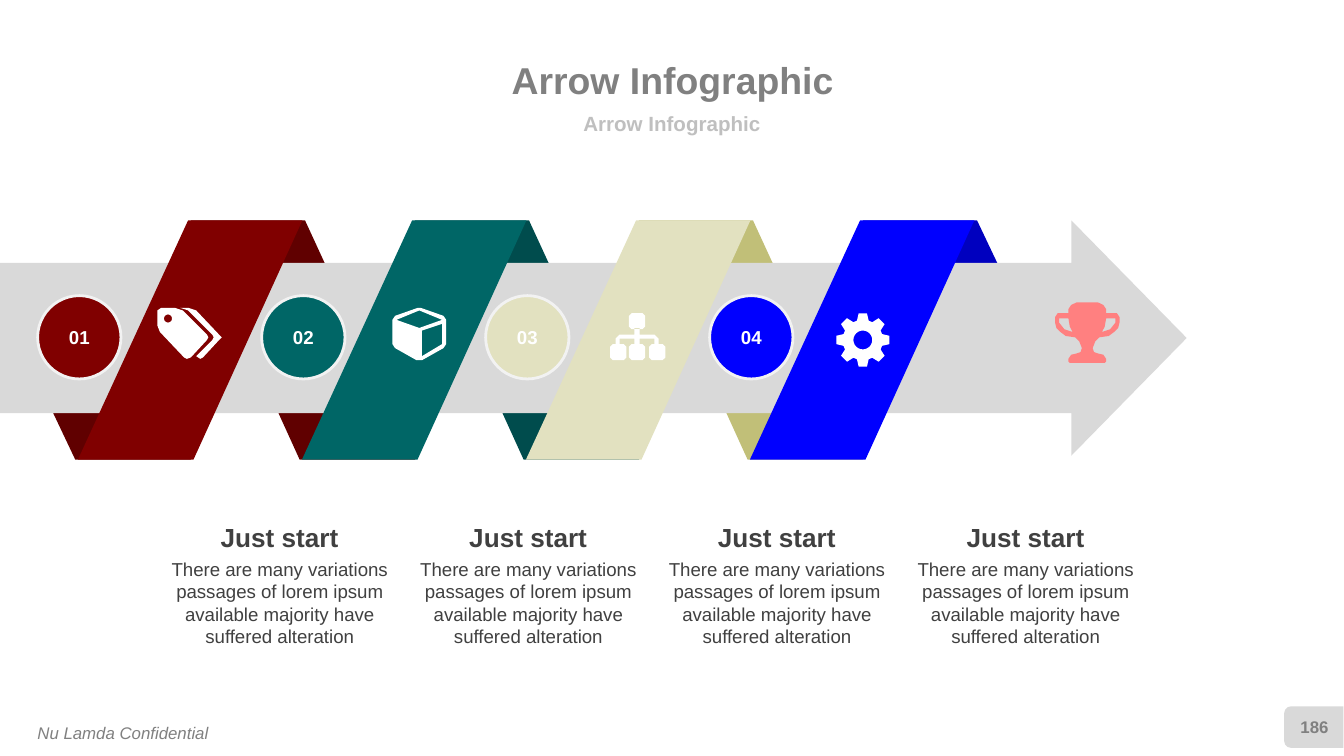
from math import cos, sin, radians
from pptx import Presentation
from pptx.dml.color import RGBColor
from pptx.enum.shapes import MSO_SHAPE
from pptx.enum.text import MSO_ANCHOR, MSO_AUTO_SIZE, PP_ALIGN
from pptx.oxml.ns import qn
from pptx.util import Inches, Pt

ARROW, OVAL = MSO_SHAPE.RIGHT_ARROW, MSO_SHAPE.OVAL
TAB = MSO_SHAPE.ROUND_2_SAME_RECTANGLE
MID, TOP = MSO_ANCHOR.MIDDLE, MSO_ANCHOR.TOP
LEFT, CENTER = PP_ALIGN.LEFT, PP_ALIGN.CENTER
FIXED = MSO_AUTO_SIZE.NONE

WHITE = RGBColor(0xFF, 0xFF, 0xFF)
PALE = RGBColor(0xF2, 0xF2, 0xF2)
LIGHT = RGBColor(0xD9, 0xD9, 0xD9)
SILVER = RGBColor(0xBF, 0xBF, 0xBF)
GRAY = RGBColor(0x80, 0x80, 0x80)
DARK = RGBColor(0x40, 0x40, 0x40)
ROSE = RGBColor(0xFF, 0x80, 0x80)
RED, RED_DARK = RGBColor(0x80, 0, 0), RGBColor(0x60, 0, 0)
TEAL, TEAL_DARK = RGBColor(0, 0x66, 0x66), RGBColor(0, 0x4C, 0x4D)
SAND, SAND_DARK = RGBColor(0xE2, 0xE1, 0xC0), RGBColor(0xC1, 0xBF, 0x78)
BLUE, BLUE_DARK = RGBColor(0, 0, 0xFF), RGBColor(0, 0, 0xBF)

STEP = 5 / 3  # distance between ribbons
HIGH, LOW = 1.64, 3.42  # top and bottom of the ribbons

deck = Presentation()
deck.slide_width = Inches(10)
deck.slide_height = Inches(10 * 9 / 16)
slide = deck.slides.add_slide(deck.slide_layouts[1])
shapes = slide.shapes


def write(shape, text, size, color, bold=False, italic=False,
          align=CENTER, anchor=MID, wrap=False, inset=0):
    frame = shape.text_frame
    frame.auto_size = FIXED
    frame.word_wrap = wrap
    frame.vertical_anchor = anchor
    frame.margin_left = frame.margin_right = Inches(inset)
    frame.margin_top = frame.margin_bottom = Inches(inset / 2)
    para = frame.paragraphs[0]
    para.alignment = align
    para.space_before = Pt(0)
    run = para.add_run()
    run.text = text
    font = run.font
    font.name, font.size = "Arial", Pt(size)
    font.bold, font.italic = bold, italic
    font.color.rgb = color
    return para


def draw(outlines, color):
    pen = None
    for outline in outlines:
        points = [(Inches(x), Inches(y)) for x, y in outline]
        if pen is None:
            pen = shapes.build_freeform(*points[0])
        else:
            pen.move_to(*points[0])
        pen.add_line_segments(points[1:], close=True)
    shape = pen.convert_to_shape()
    shape.shadow.inherit = False
    shape.fill.solid()
    shape.fill.fore_color.rgb = color
    shape.line.fill.background()


# Title and subtitle
title, body = shapes.title, slide.placeholders[1]
title.left, title.top = Inches(1.92), Inches(0.42)
title.width, title.height = Inches(6.17), Inches(0.39)
write(title, "Arrow Infographic", 20, GRAY, bold=True).line_spacing = 0.9
body.left, body.top = Inches(2.75), Inches(0.81)
body.width, body.height = Inches(4.5), Inches(0.22)
para = write(body, "Arrow Infographic", 11, SILVER, bold=True)
props = para._p.get_or_add_pPr()
props.set("marL", "0")
props.set("indent", "0")
props.append(props.makeelement(qn("a:buNone"), {}))

# Footer and page number
foot = shapes.add_textbox(Inches(0.18), Inches(5.33), Inches(1.85), Inches(0.25))
write(foot, "Nu Lamda Confidential", 9, GRAY, italic=True,
      align=LEFT, anchor=TOP, inset=0.1)
tab = shapes.add_shape(TAB, Inches(9.62), Inches(5.19), Inches(0.31), Inches(0.44))
tab.rotation = 270
page = shapes.add_textbox(Inches(9.57), Inches(5.26), Inches(0.42), Inches(0.3))
write(page, "186", 9, GRAY, bold=True)

# Folds behind the arrow
draw([[(0, 2.24), (0.56, LOW), (1.42, LOW), (0.94, 2.22)]], RED_DARK)
draw([[(7.83, 2.82), (7.27, HIGH), (6.42, HIGH), (6.9, 2.84)]], BLUE_DARK)
for i, color in enumerate([RED_DARK, TEAL_DARK, SAND_DARK]):
    x = 1.42 + i * STEP
    draw([[(x + 1.67, LOW), (x + 0.85, HIGH), (x, HIGH), (x + 0.81, LOW)]], color)

# Arrow
arrow = shapes.add_shape(ARROW, 0, Inches(HIGH), Inches(8.83), Inches(1.75))
arrow.adjustments[0], arrow.adjustments[1] = 0.64, 0.49
for shape in (tab, arrow):
    shape.shadow.inherit = False
    shape.fill.solid()
    shape.fill.fore_color.rgb = LIGHT
    shape.line.fill.background()

# Ribbons and numbered badges
for i, color in enumerate([RED, TEAL, SAND, BLUE]):
    x = 0.58 + i * STEP
    draw([[(x, LOW), (x + 0.82, HIGH), (x + 1.67, HIGH), (x + 0.86, LOW)]], color)
for i, color in enumerate([RED, TEAL, SAND, BLUE]):
    badge = shapes.add_shape(OVAL, Inches(0.28 + i * STEP), Inches(2.2),
                             Inches(0.62), Inches(0.62))
    badge.shadow.inherit = False
    badge.fill.solid()
    badge.fill.fore_color.rgb = color
    badge.line.color.rgb = PALE
    badge.line.width = Pt(1.5)
    write(badge, f"0{i + 1}", 10, WHITE, bold=True)

# Captions
for i in range(4):
    x = 1.27 + i * 1.85
    text = shapes.add_textbox(Inches(x), Inches(4.15), Inches(1.62), Inches(0.67))
    write(text, "There are many variations passages of lorem ipsum available "
          "majority have suffered alteration", 10, DARK, anchor=TOP, wrap=True)
    head = shapes.add_textbox(Inches(x + 0.37), Inches(3.88), Inches(0.88), Inches(0.24))
    write(head, "Just start", 14, DARK, bold=True, anchor=TOP)

# Tags icon
turn = [radians(a) for a in range(0, 360, 15)]
tag = [(1.54, 2.53), (1.42, 2.66), (1.39, 2.67), (1.37, 2.66), (1.19, 2.47),
       (1.17, 2.42), (1.17, 2.31), (1.2, 2.29), (1.3, 2.29), (1.36, 2.31),
       (1.54, 2.49), (1.55, 2.51)]
hole = [(1.25 + 0.03 * cos(a), 2.37 + 0.03 * sin(a)) for a in turn]
edge = [(1.63, 2.53), (1.51, 2.66), (1.49, 2.67), (1.46, 2.65), (1.58, 2.53),
        (1.59, 2.51), (1.58, 2.49), (1.4, 2.31), (1.34, 2.29), (1.4, 2.29),
        (1.46, 2.31), (1.63, 2.49), (1.65, 2.51)]
draw([tag, hole, edge], WHITE)

# Cube icon
cube = [(3.32, 2.56), (3.3, 2.59), (3.14, 2.68), (3.12, 2.68), (3.1, 2.68),
        (2.94, 2.59), (2.92, 2.56), (2.92, 2.38), (2.94, 2.35), (3.11, 2.29),
        (3.13, 2.29), (3.3, 2.35), (3.32, 2.38)]
lid = [(3.29, 2.38), (3.12, 2.31), (2.95, 2.38), (3.12, 2.44)]
side = [(3.29, 2.56), (3.29, 2.41), (3.14, 2.46), (3.14, 2.65)]
draw([cube, lid, side], WHITE)

# Tree icon: four boxes with cut corners, and the lines between them
tree = [[(4.72, 2.44), (4.76, 2.44), (4.76, 2.49), (4.87, 2.49), (4.9, 2.52),
         (4.9, 2.56), (4.87, 2.56), (4.87, 2.52), (4.76, 2.52), (4.76, 2.56),
         (4.72, 2.56), (4.72, 2.52), (4.61, 2.52), (4.61, 2.56), (4.58, 2.56),
         (4.58, 2.52), (4.61, 2.49), (4.72, 2.49)]]
cut = 0.02
for x, y in [(4.68, 2.33), (4.54, 2.56), (4.68, 2.56), (4.83, 2.56)]:
    r, b = x + 0.12, y + 0.12
    tree.append([(x + cut, y), (r - cut, y), (r, y + cut), (r, b - cut),
                 (r - cut, b), (x + cut, b), (x, b - cut), (x, y + cut)])
draw(tree, WHITE)

# Gear icon: eight teeth around a hole
gear = []
for tooth in range(0, 360, 45):
    for turned, r in [(-17, 0.15), (-9, 0.2), (9, 0.2), (17, 0.15)]:
        a = radians(tooth + turned)
        gear.append((6.42 + r * cos(a), 2.53 + r * sin(a)))
hub = [(6.42 + 0.07 * cos(a), 2.53 + 0.07 * sin(a)) for a in turn]
draw([gear, hub], WHITE)

# Trophy icon: right half, mirrored to the left
half = [(8.09, 2.25), (8.17, 2.25), (8.21, 2.27), (8.23, 2.3), (8.23, 2.33),
        (8.31, 2.33), (8.33, 2.36), (8.33, 2.4), (8.32, 2.44), (8.29, 2.47),
        (8.25, 2.5), (8.18, 2.51), (8.15, 2.54), (8.13, 2.59), (8.14, 2.62),
        (8.17, 2.63), (8.21, 2.64), (8.23, 2.67), (8.23, 2.69), (8.22, 2.7),
        (8.09, 2.7)]
grip = [(8.3, 2.37), (8.23, 2.37), (8.22, 2.43), (8.2, 2.47), (8.26, 2.45), (8.3, 2.4)]
cup = half + [(16.18 - x, y) for x, y in half[-2:0:-1]]
draw([cup, grip, [(16.18 - x, y) for x, y in grip]], ROSE)

deck.save("out.pptx")
